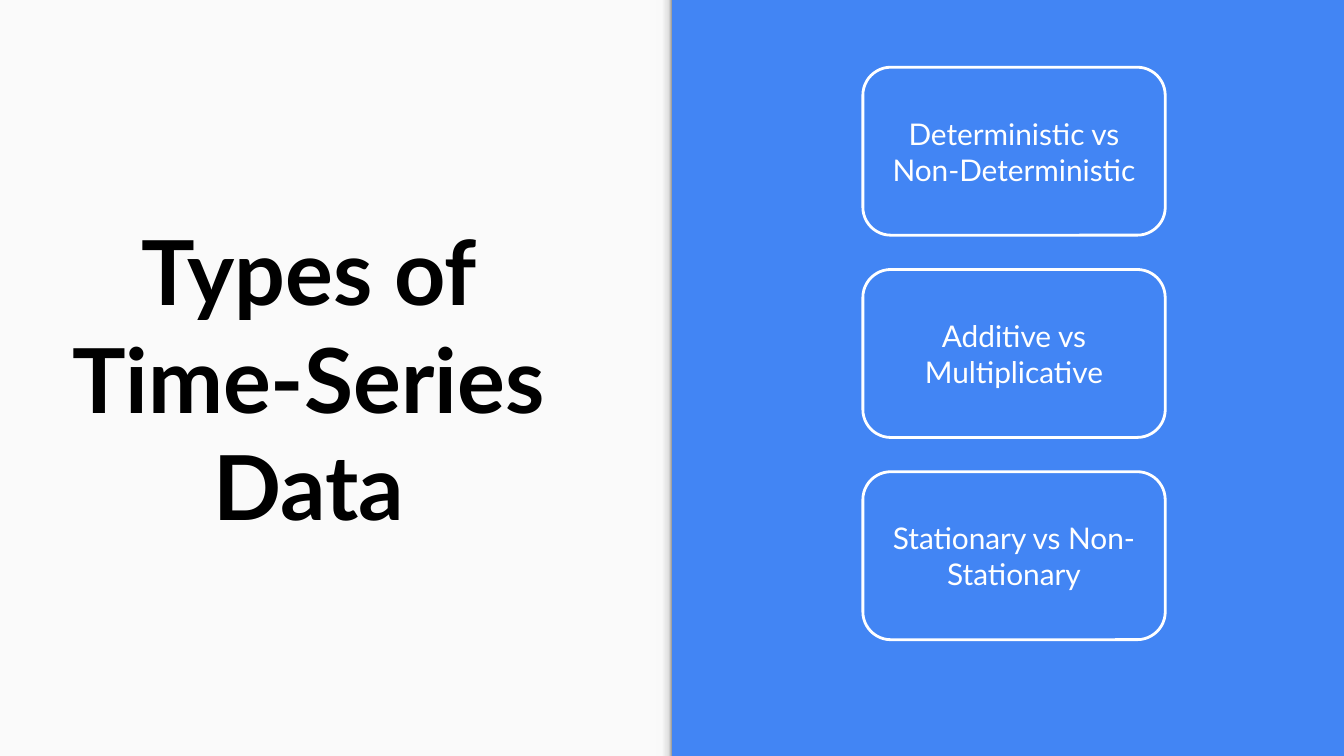
from dataclasses import dataclass

from lxml import etree
from pptx import Presentation
from pptx.dml.color import RGBColor
from pptx.enum import shapes, text
from pptx.oxml import ns
from pptx.util import Inches, Pt


@dataclass(frozen=True)
class Theme:
    font: str = "Lato"
    blue: str = "4285F4"
    pale: str = "FAFAFA"
    black: str = "000000"
    white: str = "FFFFFF"
    edge_stops: tuple = ((0, "F9F9F9"), (36, "F9F9F9"), (80, "DEDEDE"), (100, "999999"))
    title_size: int = 48
    card_size: int = 16


THEME = Theme()
WIDTH = 10
HEIGHT = WIDTH * 9 / 16
FIRST_TOP, LAST_TOP = 0.5, 3.51
TITLE = "Types of Time-Series Data"
TYPES = [
    "Deterministic vs Non-Deterministic",
    "Additive vs Multiplicative",
    "Stationary vs Non-Stationary",
]


def color(value):
    return RGBColor.from_string(value)


def add_panel(page, left, top, width, height, fill):
    panel = page.shapes.add_shape(
        shapes.MSO_SHAPE.RECTANGLE, Inches(left), Inches(top), Inches(width), Inches(height))
    panel.shadow.inherit = False
    panel.fill.solid()
    panel.fill.fore_color.rgb = color(fill)
    panel.line.fill.background()
    return panel


def set_gradient(shape, stops):
    """Left-to-right gradient with any number of stops."""
    shape.fill.gradient()
    shape.fill.gradient_angle = 0
    stop_list = shape.element.spPr.find(ns.qn("a:gradFill")).find(ns.qn("a:gsLst"))
    for old_stop in list(stop_list):
        stop_list.remove(old_stop)
    for position, value in stops:
        stop = etree.SubElement(stop_list, ns.qn("a:gs"), pos=str(position * 1000))
        etree.SubElement(stop, ns.qn("a:srgbClr"), val=value)


def write_text(box, words, size, ink, bold=False):
    frame = box.text_frame
    frame.text = words
    frame.word_wrap = True
    frame.vertical_anchor = text.MSO_ANCHOR.MIDDLE
    frame.margin_left = frame.margin_right = Inches(0.1)
    frame.margin_top = frame.margin_bottom = Inches(0.1)
    para = frame.paragraphs[0]
    para.alignment = text.PP_ALIGN.CENTER
    font = para.runs[0].font
    font.name, font.size, font.bold = THEME.font, Pt(size), bold
    font.color.rgb = color(ink)


def add_card(page, top, words):
    card = page.shapes.add_shape(
        shapes.MSO_SHAPE.ROUNDED_RECTANGLE, Inches(6.42), Inches(top), Inches(2.25), Inches(1.25))
    card.adjustments[0] = 1 / 6
    card.shadow.inherit = False
    card.fill.background()
    card.line.color.rgb = color(THEME.white)
    card.line.width = Pt(1.5)
    write_text(card, words, THEME.card_size, THEME.white)


def main():
    deck = Presentation()
    deck.slide_width, deck.slide_height = Inches(WIDTH), Inches(HEIGHT)
    page = deck.slides.add_slide(deck.slide_layouts[6])

    # Blue background, pale left half and its shaded edge
    page.background.fill.solid()
    page.background.fill.fore_color.rgb = color(THEME.blue)
    add_panel(page, 0, 0, WIDTH / 2, HEIGHT, THEME.pale)
    edge = add_panel(page, 4.88, 0, 0.12, HEIGHT, THEME.pale)
    set_gradient(edge, THEME.edge_stops)

    # Title
    title = page.shapes.add_textbox(Inches(0.29), Inches(0.79), Inches(4.01), Inches(4.04))
    write_text(title, TITLE, THEME.title_size, THEME.black, bold=True)

    # Evenly stacked cards
    pitch = (LAST_TOP - FIRST_TOP) / (len(TYPES) - 1)
    for row, words in enumerate(TYPES):
        add_card(page, FIRST_TOP + row * pitch, words)

    deck.save("out.pptx")


if __name__ == "__main__":
    main()
